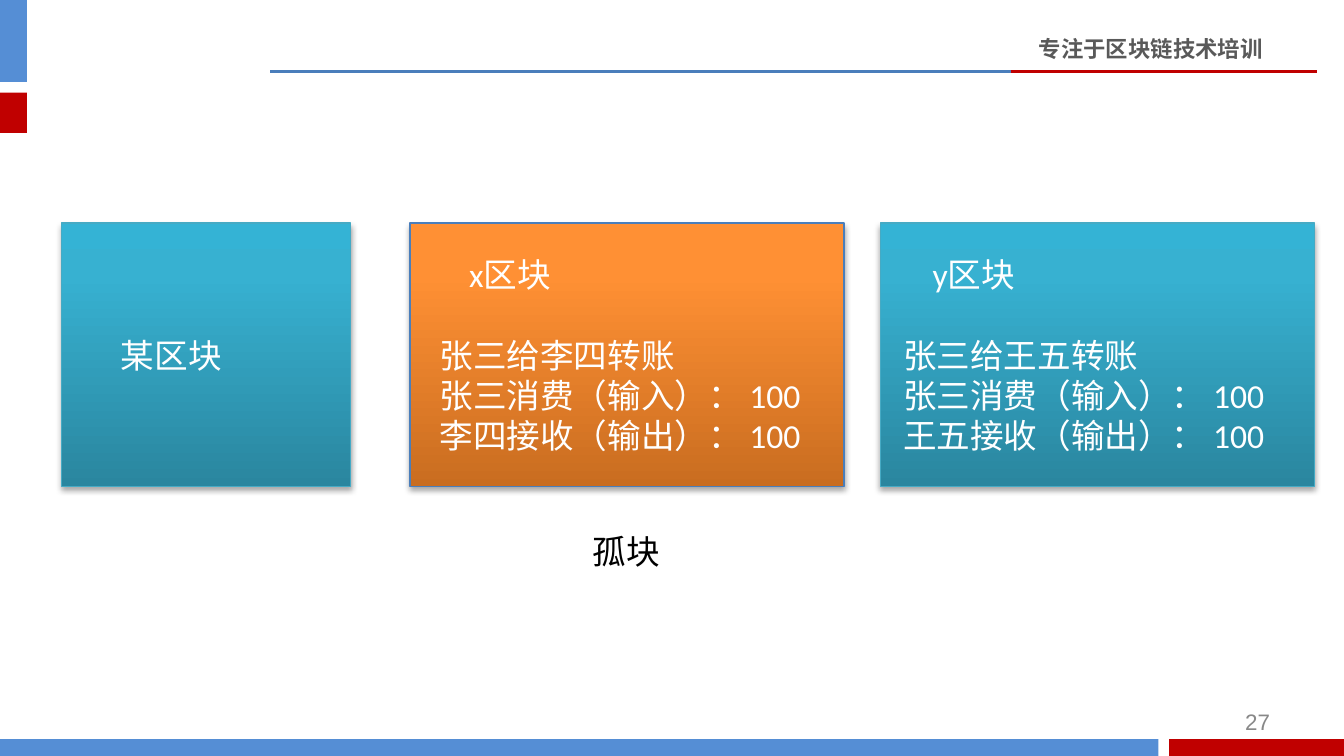
from dataclasses import dataclass

from pptx import Presentation
from pptx.dml.color import RGBColor
from pptx.enum.shapes import MSO_CONNECTOR, MSO_SHAPE
from pptx.enum.text import MSO_ANCHOR, MSO_AUTO_SIZE, PP_ALIGN
from pptx.oxml import parse_xml
from pptx.oxml.ns import nsdecls, qn
from pptx.util import Inches, Pt

RECT = MSO_SHAPE.RECTANGLE
STRAIGHT = MSO_CONNECTOR.STRAIGHT
TOP, MIDDLE = MSO_ANCHOR.TOP, MSO_ANCHOR.MIDDLE
LEFT, RIGHT = PP_ALIGN.LEFT, PP_ALIGN.RIGHT
GROW = MSO_AUTO_SIZE.SHAPE_TO_FIT_TEXT
COLS, ROWS = 100, 56.25


@dataclass(frozen=True)
class Theme:
    """Colours, fonts and type sizes of the deck."""
    blue: str = "558ED5"
    red: str = "C00000"
    rule: str = "4A7EBB"
    edge: str = "46AAC4"
    gray: str = "595959"
    pale: str = "888888"
    white: str = "FFFFFF"
    black: str = "000000"
    teal: tuple = ((0, "2A869F"), (80, "37B1D1"), (100, "34B3D5"))
    orange: tuple = ((0, "C96D20"), (80, "FF9034"), (100, "FF9035"))
    font: str = "Calibri"
    plain: str = "Arial"
    small: int = 12
    body: int = 18
    gap: float = 21.5


class Board:
    """Draws styled elements on one slide, on a grid of tenths of an inch."""

    def __init__(self, deck, theme):
        """Add a blank slide to the deck."""
        self.theme = theme
        self.cell = deck.slide_width / COLS
        self.shapes = deck.slides.add_slide(deck.slide_layouts[6]).shapes

    def place(self, *grid):
        """Turn grid units into slide lengths."""
        return [round(n * self.cell) for n in grid]

    def bar(self, color, *grid):
        """Draw a flat bar."""
        bar = self.shapes.add_shape(RECT, *self.place(*grid))
        bar.shadow.inherit = False
        bar.fill.solid()
        bar.fill.fore_color.rgb = RGBColor.from_string(color)
        bar.line.fill.background()

    def rule(self, color, start, end, row):
        """Draw a level line."""
        rule = self.shapes.add_connector(STRAIGHT, *self.place(start, row, end, row))
        rule.line.color.rgb = RGBColor.from_string(color)
        rule.line.width = Pt(1.5)
        rule._element.spPr.append(parse_xml(f"<a:effectLst {nsdecls('a')}/>"))

    def frame(self, shape, anchor, inset=0.05):
        """Set the anchor and margins of a text frame."""
        frame = shape.text_frame
        frame.vertical_anchor = anchor
        frame.margin_left = frame.margin_right = Inches(inset)
        frame.margin_top = frame.margin_bottom = Inches(inset)
        return frame

    def style(self, para, text, size, color, font=None, bold=False, align=LEFT):
        """Fill and style one paragraph."""
        para.text = text
        para.alignment = align
        para.font.size = Pt(size)
        para.font.name = font or self.theme.font
        para.font.bold = bold
        para.font.color.rgb = RGBColor.from_string(color)

    def label(self, text, grid, size, color, anchor=TOP, wrap=True, **style):
        """Write a line of free text."""
        box = self.shapes.add_textbox(*self.place(*grid))
        frame = self.frame(box, anchor)
        frame.word_wrap = wrap
        frame.auto_size = GROW
        self.style(frame.paragraphs[0], text, size, color, **style)

    def block(self, left, width, stops, edge, title, lines=(), inset=0.05):
        """Draw a shaded block with a title and its transfer lines."""
        theme = self.theme
        box = self.shapes.add_shape(RECT, *self.place(left, 16.6, width, 19.6))
        box.fill.gradient()
        box.fill.gradient_angle = 90
        ramp = box._element.spPr.find(f"{qn('a:gradFill')}/{qn('a:gsLst')}")
        ramp.clear()
        for share, color in stops:
            ramp.append(parse_xml(
                f'<a:gs {nsdecls("a")} pos="{share * 1000}">'
                f'<a:srgbClr val="{color}"/></a:gs>'))
        box.line.color.rgb = RGBColor.from_string(edge)
        box.line.width = Pt(0.75)
        box.shadow.inherit = False
        box._element.spPr.find(qn("a:effectLst")).append(parse_xml(
            f'<a:outerShdw {nsdecls("a")} blurRad="{Pt(3)}" dist="{Pt(1.8)}" '
            f'dir="5400000" rotWithShape="0"><a:srgbClr val="{theme.black}">'
            '<a:alpha val="35000"/></a:srgbClr></a:outerShdw>'))
        frame = self.frame(box, MIDDLE, inset)
        for row, text in enumerate((title, *lines)):
            para = frame.add_paragraph() if row else frame.paragraphs[0]
            self.style(para, text, theme.body, theme.white)
            para._p.get_or_add_pPr().set("marL", str(Inches(0.17 if row else 0.39)))
        if lines:
            frame.paragraphs[0].space_after = Pt(theme.gap)


def main():
    """Build and save the slide."""
    deck = Presentation()
    deck.slide_width, deck.slide_height = Inches(COLS / 10), Inches(ROWS / 10)
    theme = Theme()
    board = Board(deck, theme)

    board.bar(theme.blue, 0, 0, 2, 6.1)
    board.bar(theme.red, 0, 6.9, 2, 3)
    board.rule(theme.rule, 20.1, 75.2, 5.3)
    board.rule(theme.red, 75.2, 98, 5.3)
    board.label("专注于区块链技术培训", (76.8, 2.1, 24.4, 3.4),
                theme.small, theme.gray, bold=True)
    board.bar(theme.blue, 0, 55, 86.2, 1.5)
    board.bar(theme.red, 87, 55, 13, 1.5)
    board.label("27", (71.7, 52.2, 23.3, 2.9), theme.small, theme.pale,
                anchor=MIDDLE, font=theme.plain, align=RIGHT)

    board.block(4.6, 21.5, theme.teal, theme.edge, "某区块")
    for left, stops, edge, name, payee, inset in (
            (30.5, theme.orange, theme.rule, "x", "李四", 0.05),
            (65.5, theme.teal, theme.edge, "y", "王五", 0)):
        lines = (f"张三给{payee}转账", "张三消费（输入）： 100", f"{payee}接收（输出）： 100")
        board.block(left, 32.3, stops, edge, f"{name}区块", lines, inset)
    board.label("孤块", (43.6, 39, 6.1, 4.5), theme.body, theme.black, wrap=False)

    deck.save("out.pptx")


if __name__ == "__main__":
    main()
